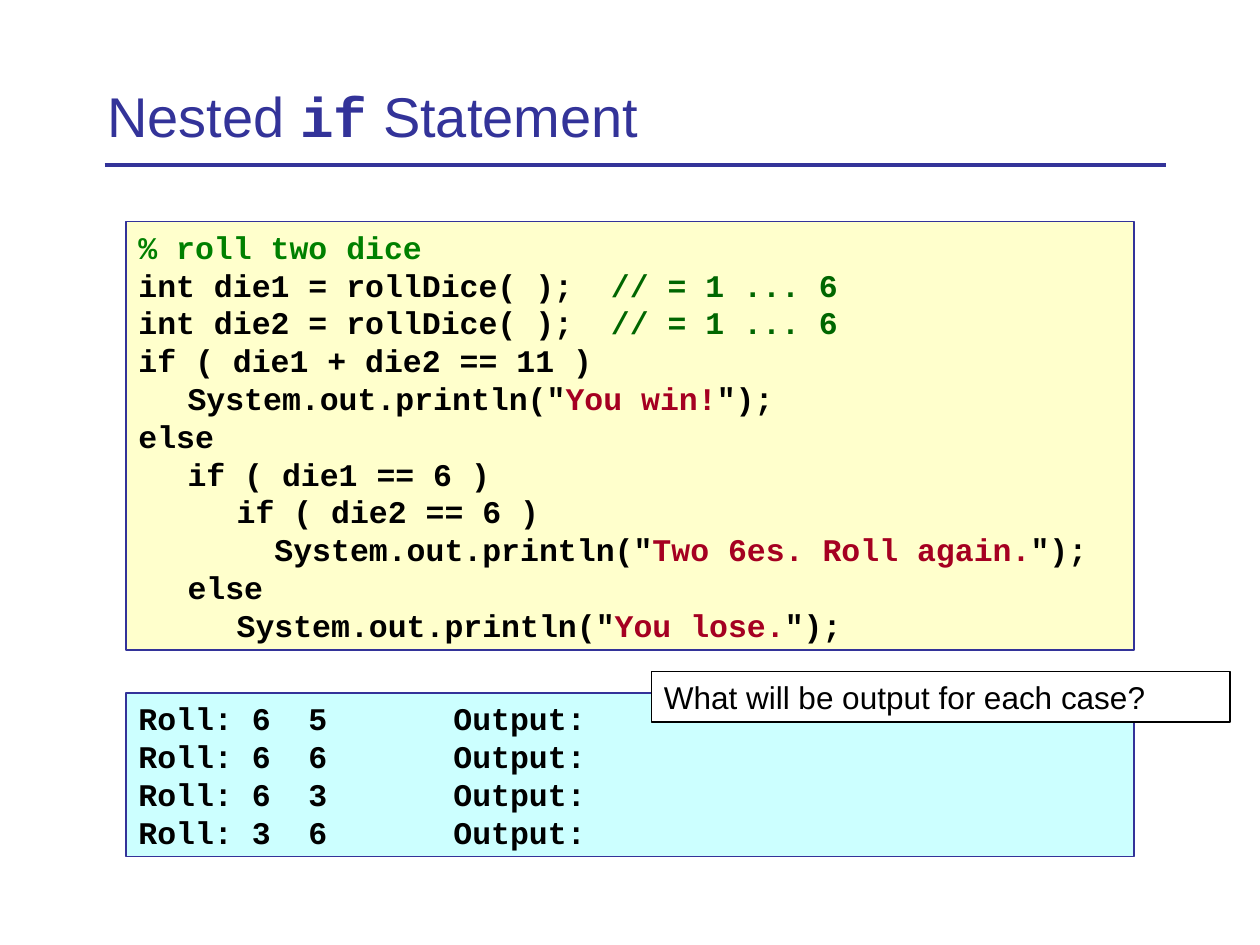
from dataclasses import dataclass

from lxml.etree import SubElement
from pptx import Presentation
from pptx.dml.color import RGBColor
from pptx.enum.shapes import MSO_CONNECTOR, MSO_SHAPE
from pptx.enum.text import MSO_ANCHOR, PP_ALIGN
from pptx.oxml.ns import qn
from pptx.util import Inches, Pt


@dataclass(frozen=True)
class Theme:
    navy: str = "333399"
    black: str = "000000"
    white: str = "FFFFFF"
    cream: str = "FFFFCC"
    aqua: str = "CCFFFF"
    green: str = "008000"
    dark: str = "006600"
    red: str = "A50021"
    sans: str = "Arial"
    mono: str = "Courier New"
    title: int = 32
    body: int = 18


@dataclass(frozen=True)
class Run:
    text: str
    color: str


@dataclass(frozen=True)
class Panel:
    left: float
    top: float
    width: float
    height: float
    fill: str
    edge: str
    weight: float
    font: str
    bold: bool
    tabs: list[float]
    lines: list[list[Run]]


T = Theme()


def rgb(code: str) -> RGBColor:
    return RGBColor.from_string(code)


def plain(text: str) -> list[Run]:
    return [Run(text, T.black)]


def roll(name: str) -> list[Run]:
    return [*plain(f"int {name} = rollDice( );  "), Run("// = 1 ... 6", T.dark)]


def show(lead: str, text: str) -> list[Run]:
    return [*plain(f'{lead}System.out.println("'), Run(text, T.red), *plain('");')]


def add_tabs(para, stops: list[float]) -> None:
    if stops:
        tabs = SubElement(para._p.get_or_add_pPr(), qn("a:tabLst"))
        for stop in stops:
            SubElement(tabs, qn("a:tab"), pos=str(Inches(stop)), algn="l")


def add_panel(slide, panel: Panel) -> None:
    box = slide.shapes.add_shape(
        MSO_SHAPE.RECTANGLE, Inches(panel.left), Inches(panel.top),
        Inches(panel.width), Inches(panel.height))
    box.shadow.inherit = False
    box.fill.solid()
    box.fill.fore_color.rgb = rgb(panel.fill)
    box.line.color.rgb = rgb(panel.edge)
    box.line.width = Pt(panel.weight)
    frame = box.text_frame
    frame.word_wrap = True
    frame.vertical_anchor = MSO_ANCHOR.TOP
    for i, line in enumerate(panel.lines):
        para = frame.add_paragraph() if i else frame.paragraphs[0]
        para.alignment = PP_ALIGN.LEFT
        add_tabs(para, panel.tabs)
        para.font.name = panel.font
        para.font.size = Pt(T.body)
        para.font.bold = panel.bold
        for part in line:
            run = para.add_run()
            run.text = part.text
            run.font.color.rgb = rgb(part.color)


def add_title(slide) -> None:
    title = slide.shapes.title
    title.left, title.top = Inches(0.75), Inches(0.5)
    title.width, title.height = Inches(8.5), Inches(0.83)
    frame = title.text_frame
    frame.vertical_anchor = MSO_ANCHOR.MIDDLE
    para = frame.paragraphs[0]
    para.alignment = PP_ALIGN.LEFT
    para.font.size = Pt(T.title)
    para.font.color.rgb = rgb(T.navy)
    for text, code in (("Nested ", False), ("if", True), (" Statement", False)):
        run = para.add_run()
        run.text = text
        run.font.name = T.mono if code else T.sans
        run.font.bold = code


def add_rule(slide) -> None:
    y = Inches(1.31)
    rule = slide.shapes.add_connector(
        MSO_CONNECTOR.STRAIGHT, Inches(0.83), y, Inches(9.25), y)
    rule.line.color.rgb = rgb(T.navy)
    rule.line.width = Pt(2.25)
    SubElement(rule._element.spPr, qn("a:effectLst"))


CODE = [
    [Run("% roll two dice", T.green)],
    roll("die1"),
    roll("die2"),
    plain("if ( die1 + die2 == 11 )"),
    show("\t", "You win!"),
    plain("else"),
    plain("\tif ( die1 == 6 )"),
    plain("\t\tif ( die2 == 6 )"),
    show("\t\t  ", "Two 6es. Roll again."),
    plain("\telse"),
    show("\t\t", "You lose."),
]
CASES = [(6, 5), (6, 6), (6, 3), (3, 6)]
ROLLS = [plain(f"Roll: {a}  {b}\tOutput:") for a, b in CASES]
ASK = [plain("What will be output for each case?")]

PANELS = [
    # Code listing
    Panel(1, 1.76, 8, 3.4, T.cream, T.navy, 0.75, T.mono, True, [0.39, 0.78], CODE),
    # Dice cases
    Panel(1, 5.5, 8, 1.3, T.aqua, T.navy, 0.75, T.mono, True, [2.5], ROLLS),
    # Question
    Panel(5.17, 5.33, 4.59, 0.4, T.white, T.black, 1, T.sans, False, [], ASK),
]


def main() -> None:
    deck = Presentation()
    deck.slide_width, deck.slide_height = Inches(10), Inches(7.5)
    slide = deck.slides.add_slide(deck.slide_layouts[5])
    add_rule(slide)
    add_title(slide)
    for panel in PANELS:
        add_panel(slide, panel)
    deck.save("out.pptx")


if __name__ == "__main__":
    main()
